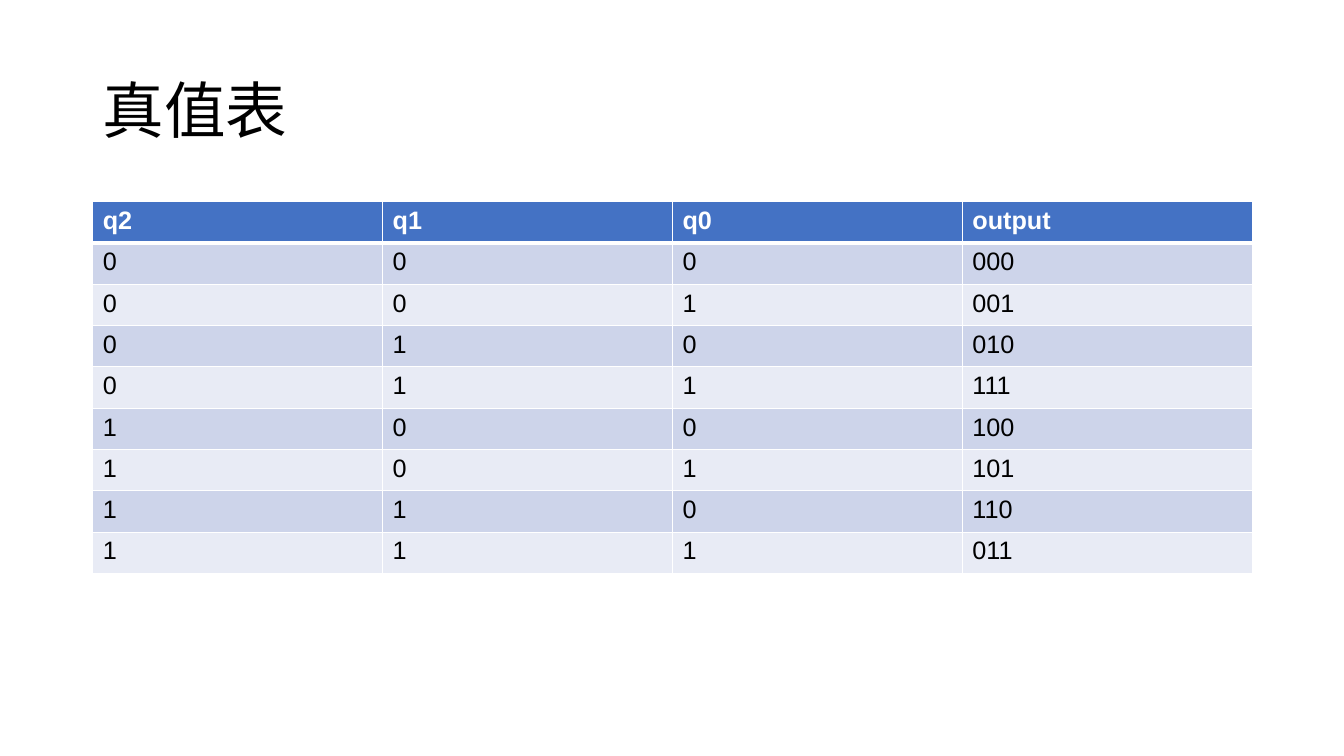
import itertools

import pptx
import pptx.dml.color
import pptx.enum.text
import pptx.oxml
import pptx.oxml.ns
import pptx.util

SLIDE_W, SLIDE_H = 13.33, 7.5
MARGIN = 0.92
CONTENT_W = 11.5
ROW_H = 0.41

COLORS = {
    "text": "000000",
    "header": "4472C4",
    "header_text": "FFFFFF",
    "odd_row": "CDD4EA",
    "even_row": "E8EBF5",
    "rule": "FFFFFF",
}

HEADINGS = ["q2", "q1", "q0", "output"]
OUTPUTS = ["000", "001", "010", "111", "100", "101", "110", "011"]


def rgb(name):
    return pptx.dml.color.RGBColor.from_string(COLORS[name])


def write(frame, text, size=18, font="Arial", color="text", bold=False, spacing=1.0):
    paragraph = frame.paragraphs[0]
    paragraph.line_spacing = spacing
    run = paragraph.add_run()
    run.text = text
    run.font.size = pptx.util.Pt(size)
    run.font.name = font
    run.font.bold = bold
    run.font.color.rgb = rgb(color)


def add_title(slide, text):
    box = slide.shapes.add_textbox(
        *map(pptx.util.Inches, (MARGIN, 0.4, CONTENT_W, 1.45)))
    frame = box.text_frame
    frame.word_wrap = True
    frame.vertical_anchor = pptx.enum.text.MSO_ANCHOR.MIDDLE
    write(frame, text, size=44, font="Calibri", spacing=0.9)


def set_borders(cell, top=1, bottom=1):
    """Draw the four cell edges; must run before the cell is filled."""
    properties = cell._tc.get_or_add_tcPr()
    for edge, points in (("L", 1), ("R", 1), ("T", top), ("B", bottom)):
        properties.append(pptx.oxml.parse_xml(
            f'<a:ln{edge} {pptx.oxml.ns.nsdecls("a")} w="{pptx.util.Pt(points)}">'
            f'<a:solidFill><a:srgbClr val="{COLORS["rule"]}"/></a:solidFill>'
            f'</a:ln{edge}>'))


def add_truth_table(slide, rows):
    table = slide.shapes.add_table(
        len(rows), len(HEADINGS),
        *map(pptx.util.Inches, (MARGIN, 2, CONTENT_W, ROW_H * len(rows)))).table

    for r, values in enumerate(rows):
        table.rows[r].height = pptx.util.Inches(ROW_H)
        is_header = r == 0
        band = "header" if is_header else "odd_row" if r % 2 else "even_row"
        for c, value in enumerate(values):
            cell = table.cell(r, c)
            # The rule below the header is thicker than the others
            set_borders(cell, top=3 if r == 1 else 1, bottom=3 if is_header else 1)
            cell.fill.solid()
            cell.fill.fore_color.rgb = rgb(band)
            write(cell.text_frame, value, bold=is_header,
                  color="header_text" if is_header else "text")


def main():
    deck = pptx.Presentation()
    deck.slide_width = pptx.util.Inches(SLIDE_W)
    deck.slide_height = pptx.util.Inches(SLIDE_H)
    slide = deck.slides.add_slide(deck.slide_layouts[6])

    add_title(slide, "真值表")

    # Every state of the three bits, with its output
    states = itertools.product("01", repeat=3)
    add_truth_table(slide, [HEADINGS] + [
        [*state, output] for state, output in zip(states, OUTPUTS)])

    deck.save("out.pptx")


main()
